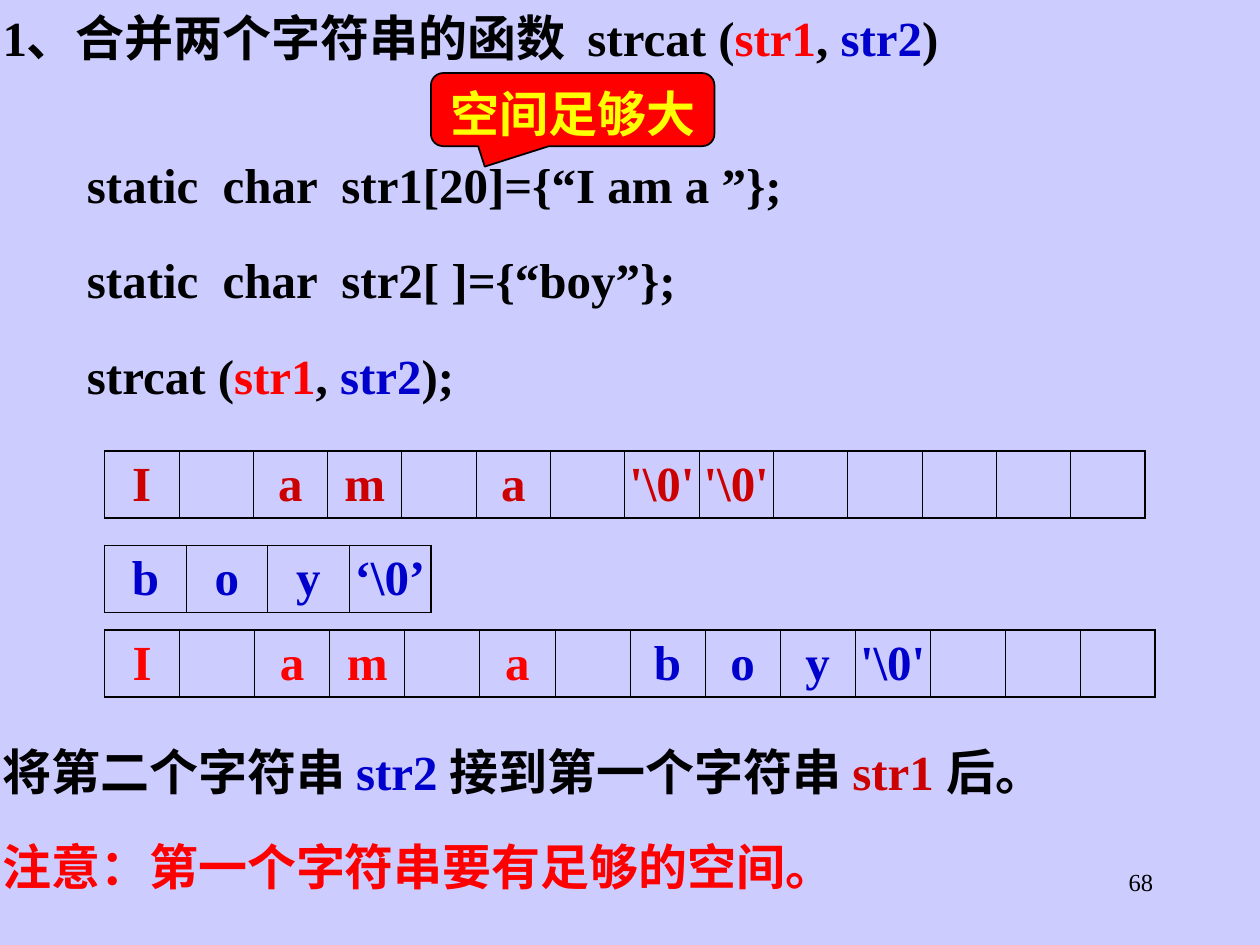
from lxml.etree import SubElement
from pptx import Presentation
from pptx.dml.color import RGBColor
from pptx.enum.shapes import MSO_SHAPE
from pptx.enum.text import MSO_ANCHOR, MSO_AUTO_SIZE, PP_ALIGN
from pptx.oxml.ns import qn
from pptx.util import Inches, Pt

BACKGROUND = RGBColor(0xCC, 0xCC, 0xFF)
BLACK = RGBColor(0, 0, 0)
RED = RGBColor(0xFF, 0, 0)
DARK_RED = RGBColor(0xCC, 0, 0)
BLUE = RGBColor(0, 0, 0xCC)
YELLOW = RGBColor(0xFF, 0xFF, 0)
FONT = "Times New Roman"
CALL = [("str1", RED), (", ", BLACK), ("str2", BLUE)]


def add_run(p, text, color=BLACK, size=28, bold=True):
    """Add one formatted run to a paragraph."""
    r = p.add_run()
    r.text = text
    r.font.name = FONT
    r.font.size = Pt(size)
    r.font.bold = bold
    r.font.color.rgb = color


def place(sp, left, top, width, height):
    """Set the position and size of a shape."""
    sp.left, sp.top = Inches(left), Inches(top)
    sp.width, sp.height = Inches(width), Inches(height)


def fill_text(sp, lines, align=PP_ALIGN.LEFT, anchor=MSO_ANCHOR.TOP):
    """Write lines of (text, colour) runs into a shape."""
    tf = sp.text_frame
    tf.word_wrap = True
    tf.auto_size = MSO_AUTO_SIZE.NONE
    tf.vertical_anchor = anchor
    tf.margin_left = tf.margin_right = Inches(0.02)
    tf.margin_top = tf.margin_bottom = Inches(0.01)
    for i, runs in enumerate(lines):
        p = tf.add_paragraph() if i else tf.paragraphs[0]
        p.alignment = align
        p.line_spacing = 1.1
        p.space_before = Pt(17.5)
        for text, color in runs:
            add_run(p, text, color)


def remove_bullets(sp):
    """Clear bullets and hanging indents from a body placeholder."""
    for p in sp.text_frame.paragraphs:
        pPr = p._p.get_or_add_pPr()
        pPr.set("marL", "0")
        pPr.set("indent", "0")
        SubElement(pPr, qn("a:buNone"))


def add_text(s, top, runs):
    """Add a full-width line of text."""
    sp = s.shapes.add_textbox(0, 0, 0, 0)
    place(sp, 0, top, 10, 0.54)
    fill_text(sp, [runs])


def add_callout(s, text):
    """Add the red speech callout."""
    sp = s.shapes.add_shape(MSO_SHAPE.ROUNDED_RECTANGULAR_CALLOUT, 0, 0, 0, 0)
    place(sp, 3.42, 0.58, 2.25, 0.58)
    sp.adjustments[0], sp.adjustments[1] = -0.31, 0.78
    sp.shadow.inherit = False
    sp.fill.solid()
    sp.fill.fore_color.rgb = RED
    sp.line.color.rgb = BLACK
    sp.line.width = Pt(1)
    fill_text(sp, [[(text, YELLOW)]], PP_ALIGN.CENTER)


def set_borders(cell, widths):
    """Draw the left, right, top and bottom borders of a cell."""
    tcPr = cell._tc.get_or_add_tcPr()
    for side, width in zip("LRTB", widths):
        ln = SubElement(tcPr, qn(f"a:ln{side}"), w=str(Pt(width)))
        fill = SubElement(ln, qn("a:solidFill"))
        SubElement(fill, qn("a:srgbClr"), val=str(BLACK))


def add_memory(s, top, width, chars):
    """Add a one-row table of (character, colour) memory cells."""
    n = len(chars)
    tbl = s.shapes.add_table(1, n, Inches(0.83), Inches(top),
                             Inches(width), Inches(0.49)).table
    tbl.first_row = tbl.horz_banding = False
    for i, (char, color) in enumerate(chars):
        tbl.columns[i].width = Inches(width / n)
        cell = tbl.cell(0, i)
        cell.margin_left = cell.margin_right = Inches(0.02)
        left = 1.08 if i == 0 else 0.45
        right = 1.08 if i == n - 1 else 0.45
        set_borders(cell, (left, right, 1.08, 1.08))
        cell.fill.background()
        if char:
            p = cell.text_frame.paragraphs[0]
            p.alignment = PP_ALIGN.CENTER
            p.space_before = Pt(7)
            add_run(p, char, color)


def add_number(s, text):
    """Add the page number."""
    sp = s.shapes.add_textbox(Inches(7.17), Inches(6.83), Inches(2.08), Inches(0.5))
    p = sp.text_frame.paragraphs[0]
    sp.text_frame.word_wrap = True
    p.alignment = PP_ALIGN.RIGHT
    add_run(p, text, size=14, bold=False)


def colored(chars, color):
    """Pair each character with a colour."""
    return [(char, color) for char in chars]


def main():
    """Build the slide on joining strings."""
    prs = Presentation()
    prs.slide_width, prs.slide_height = Inches(10), Inches(7.5)
    s = prs.slides.add_slide(prs.slide_layouts[1])
    s.background.fill.solid()
    s.background.fill.fore_color.rgb = BACKGROUND

    title, body = s.placeholders
    place(title, 0, 0, 10, 0.54)
    fill_text(title, [[("1、合并两个字符串的函数  strcat (", BLACK), *CALL, (")", BLACK)]])
    place(body, 0.67, 1.17, 7.75, 2.05)
    fill_text(body, [
        [("static  char  str1[20]={“I am a ”};", BLACK)],
        [("static  char  str2[ ]={“boy”};", BLACK)],
        [("strcat (", BLACK), *CALL, (");", BLACK)],
    ])
    remove_bullets(body)

    first = ["I", "", "a", "m", "", "a", ""]
    blanks = colored([""] * 3, BLACK)
    end = "'\\0'"
    add_memory(s, 3.58, 8.26,
               colored(first + [end] * 2 + [""] * 5, DARK_RED))
    add_memory(s, 4.33, 2.59, colored(["b", "o", "y", "‘\\0’"], BLUE))
    add_memory(s, 5, 8.34,
               colored(first, RED) + colored(["b", "o", "y", end], BLUE) + blanks)

    add_text(s, 5.83, [("将第二个字符串 ", BLACK), ("str2 ", BLUE),
                       ("接到第一个字符串 ", BLACK), ("str1 ", DARK_RED),
                       ("后。", BLACK)])
    add_text(s, 6.58, [("注意：第一个字符串要有足够的空间。", RED)])
    add_callout(s, "空间足够大")
    add_number(s, "68")
    prs.save("out.pptx")


if __name__ == "__main__":
    main()
